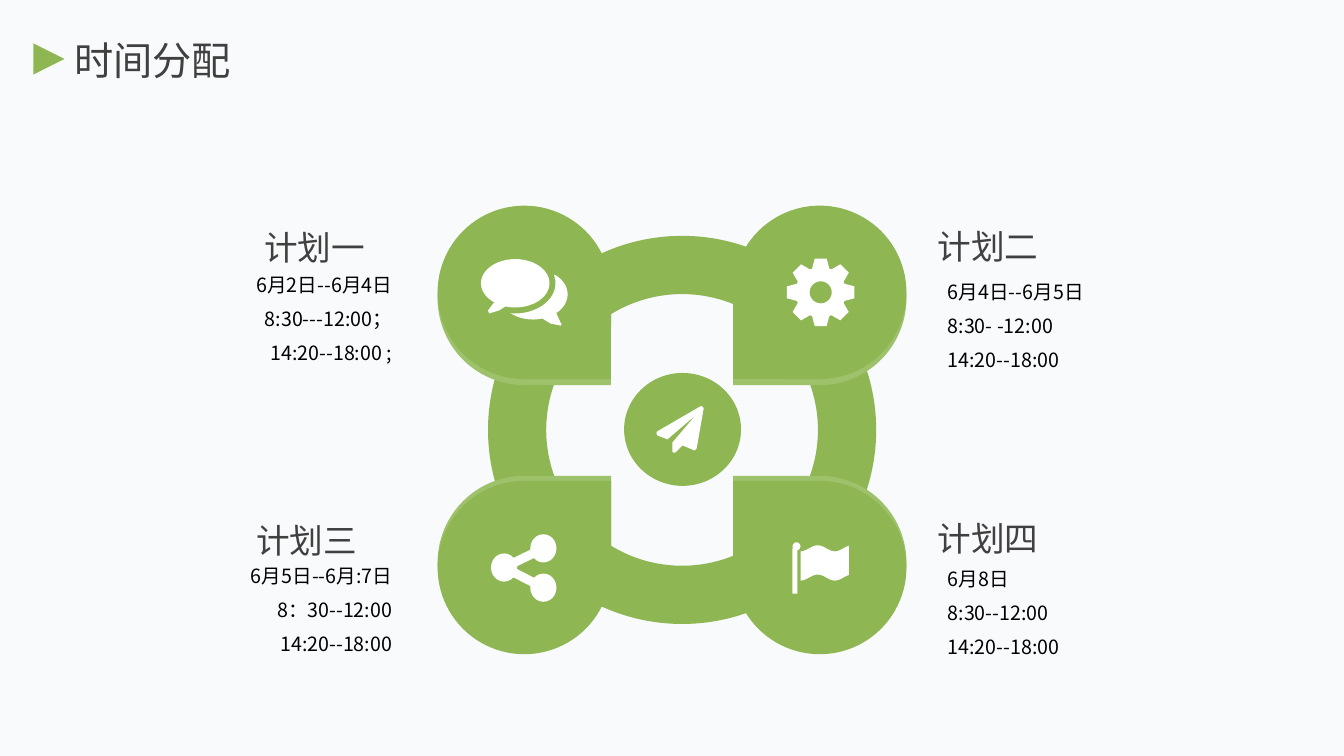
from math import cos, sin, pi, radians
from lxml.etree import SubElement
from pptx import Presentation
from pptx.dml.color import RGBColor
from pptx.enum.shapes import MSO_SHAPE as Kind, MSO_CONNECTOR as Link
from pptx.enum.text import PP_ALIGN as Align
from pptx.oxml.ns import qn
from pptx.util import Inches, Pt

GREEN = RGBColor(0x8E, 0xB6, 0x52)
LIGHT = RGBColor(0x9E, 0xC1, 0x6B)
WHITE = RGBColor(0xFF, 0xFF, 0xFF)
PAPER = RGBColor(0xF9, 0xFA, 0xFC)
GREY = RGBColor(0x40, 0x40, 0x40)
BLACK = RGBColor(0, 0, 0)
FONT = "Noto Sans CJK SC"

# Content: heading, its left, top and inset, then times, their left, top and side
TITLE = "时间分配"
PLANS = [
    ("计划一", 1.86, 2.2, 0.76, ["6月2日--6月4日", "8:30---12:00；", "14:20--18:00 ;"],
     1.4, 2.71, Align.RIGHT),
    ("计划二", 9.2, 2.19, 0.1, ["6月4日--6月5日", "8:30- -12:00", "14:20--18:00"],
     9.4, 2.78, Align.LEFT),
    ("计划三", 1.86, 5.11, 0.68, ["6月5日--6月:7日", "8：30--12:00", "14:20--18:00"],
     1.4, 5.59, Align.RIGHT),
    ("计划四", 9.2, 5.09, 0.1, ["6月8日", "8:30--12:00", "14:20--18:00"],
     9.4, 5.62, Align.LEFT),
]
# Petals: left, front top, back top, turn that points the tip at the centre
PETALS = [(4.34, 2.04, 2.1, 90), (4.34, 4.77, 4.72, 0),
          (7.27, 2.04, 2.1, 180), (7.27, 4.77, 4.72, 270)]
PETAL = 1.72
# Icon points
TAIL = [(5.03, 3.03), (4.95, 3.08), (4.85, 3.11), (4.84, 3.08), (4.9, 3)]
TIP = [(5.56, 3.2), (5.57, 3.22), (5.56, 3.23), (5.46, 3.21), (5.38, 3.16)]
NODES = [(5, 5.63), (5.39, 5.44), (5.39, 5.83)]
PLANE = [(6.96, 4.03), (6.98, 4.05), (6.91, 4.45), (6.89, 4.47), (6.77, 4.42),
         (6.7, 4.49), (6.68, 4.49), (6.67, 4.48), (6.67, 4.39), (6.9, 4.12),
         (6.62, 4.36), (6.52, 4.32), (6.51, 4.3), (6.52, 4.28), (6.95, 4.03)]

deck = Presentation()
deck.slide_width, deck.slide_height = Inches(13.33), Inches(7.5)
slide = deck.slides.add_slide(deck.slide_layouts[6])
slide.background.fill.solid()
slide.background.fill.fore_color.rgb = PAPER
shapes = slide.shapes


def paint(item, color):
    item.shadow.inherit = False
    item.fill.solid()
    item.fill.fore_color.rgb = color
    item.line.fill.background()
    return item


def put(kind, x, y, w, h, color, turn=0):
    item = paint(shapes.add_shape(kind, *map(Inches, (x, y, w, h))), color)
    item.rotation = turn
    return item


def disc(x, y, rx, ry, color=WHITE):
    put(Kind.OVAL, x - rx, y - ry, 2 * rx, 2 * ry, color)


def polar(x, y, rx, ry, deg):
    return x + rx * cos(radians(deg)), y + ry * sin(radians(deg))


def arc(x, y, rx, ry, start, end, steps=24):
    return [polar(x, y, rx, ry, start + (end - start) * i / steps)
            for i in range(steps + 1)]


def draw(*loops):
    path = None
    for loop in loops:
        first, *rest = [(Inches(x), Inches(y)) for x, y in loop]
        if path:
            path.move_to(*first)
        else:
            path = shapes.build_freeform(*first)
        path.add_line_segments(rest, close=True)
    paint(path.convert_to_shape(), WHITE)


def write(lines, x, y, w, h, size, color, inset, side=Align.LEFT, gap=0):
    frame = shapes.add_textbox(*map(Inches, (x, y, w, h))).text_frame
    frame.word_wrap = True
    frame.margin_left, frame.margin_top, frame.margin_right, frame.margin_bottom = \
        map(Inches, inset)
    for i, line in enumerate(lines):
        para = frame.add_paragraph() if i else frame.paragraphs[0]
        para.alignment = side
        para.line_spacing = Pt(1.2 * size)
        para.space_before = Pt(gap)
        run = para.add_run()
        run.text = line
        run.font.size = Pt(size)
        run.font.color.rgb = color
        run.font.name = FONT
        SubElement(run._r.get_or_add_rPr(), qn("a:ea")).set("typeface", FONT)


# Title
put(Kind.ISOSCELES_TRIANGLE, 0.33, 0.43, 0.31, 0.31, GREEN, 90)
write([TITLE], 0.64, 0.31, 3.82, 0.57, 28, GREY, (0.1, 0.05, 0.1, 0.05))

# Ring, petals and hub
put(Kind.DONUT, 4.84, 2.34, 3.85, 3.85, GREEN).adjustments[0] = 0.15
for x, front, back, turn in PETALS:
    put(Kind.TEAR, x, back, PETAL, PETAL, LIGHT, turn)
    put(Kind.TEAR, x, front, PETAL, PETAL, GREEN, turn)
disc(6.77, 4.26, 0.58, 0.56, GREEN)

# Gear
hub = (8.14, 2.9)
teeth = [polar(*hub, r, r, 45 * i + a) for i in range(8)
         for r, a in ((0.25, -20), (0.34, -10), (0.34, 10), (0.25, 20))]
draw(teeth, arc(*hub, 0.11, 0.11, 360, 0))

# Speech bubbles
disc(5.11, 2.81, 0.34, 0.24)
draw(TAIL)
outer, inner = (5.29, 2.92, 0.34, 0.25), (5.11, 2.81, 0.4, 0.3)
draw(arc(*outer, -51, 48) + TIP + arc(*outer, 85, 130) + arc(*inner, 97, -15))

# Flag
disc(7.9, 5.42, 0.04, 0.04)
put(Kind.RECTANGLE, 7.86, 5.44, 0.05, 0.45, WHITE)
wave = [(7.94 + 0.02 * i, 5.44 + 0.03 * cos(2 * pi * 0.02 * i / 0.34))
        for i in range(25)]
draw(wave + [(x, y + 0.29) for x, y in reversed(wave)])

# Share nodes
for x, y in NODES[1:]:
    bar = shapes.add_connector(Link.STRAIGHT, *map(Inches, (*NODES[0], x, y)))
    bar.line.color.rgb = WHITE
    bar.line.width = Pt(6.5)
    SubElement(bar._element.spPr, qn("a:effectLst"))
for x, y in NODES:
    disc(x, y, 0.13, 0.14)

# Paper plane
draw(PLANE)

# Plans
for name, x, y, pad, times, left, top, side in PLANS:
    write(times, left, top, 2.49, 1.04, 14, BLACK, (0, 0, 0, 0), side, 7.5)
    write([name], x, y, 2.28, 0.5, 24, GREY, (pad, 0.05, 0.1, 0.05))

deck.save("out.pptx")
